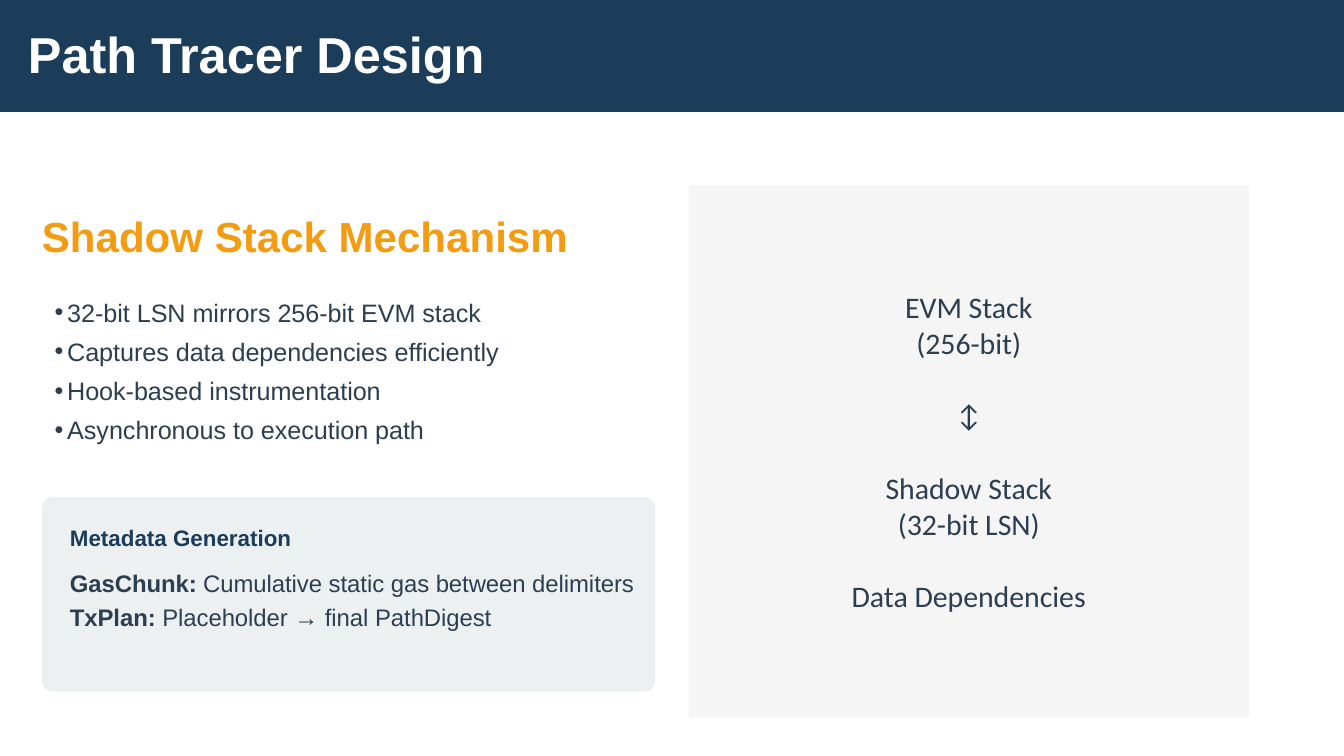
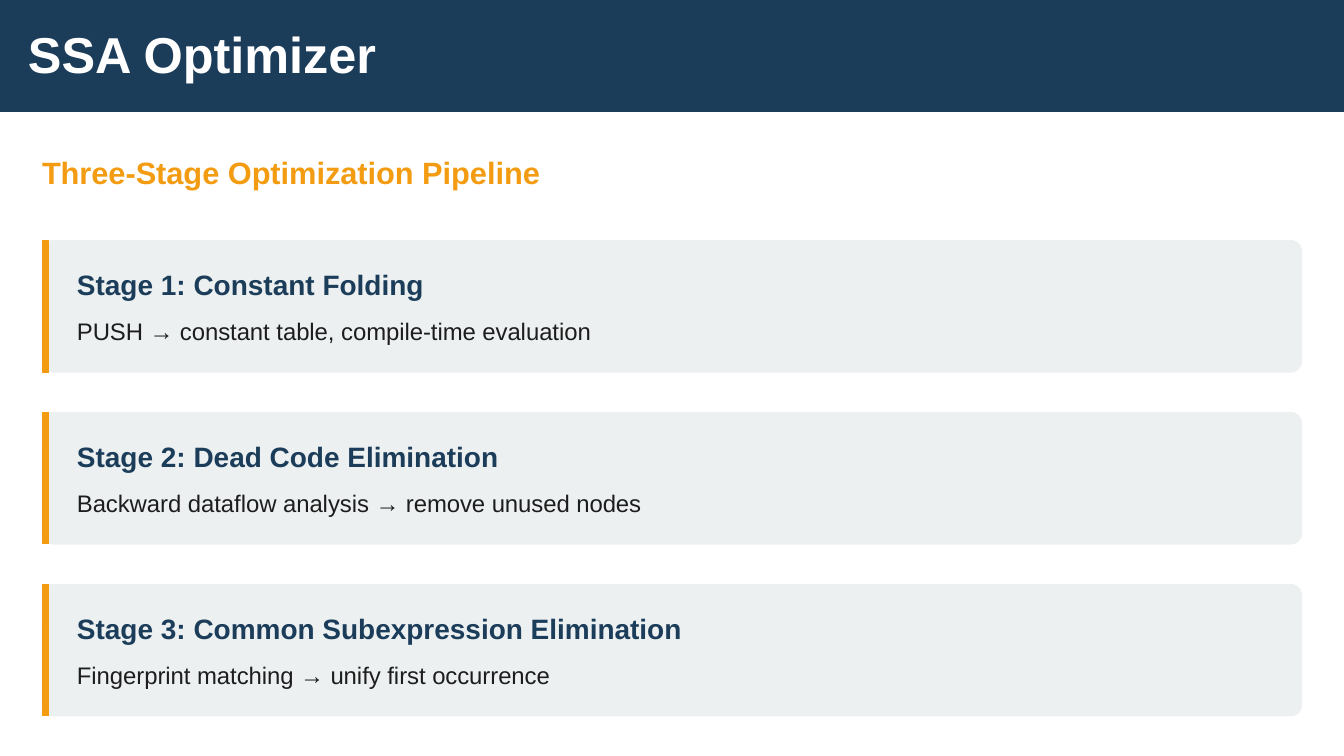
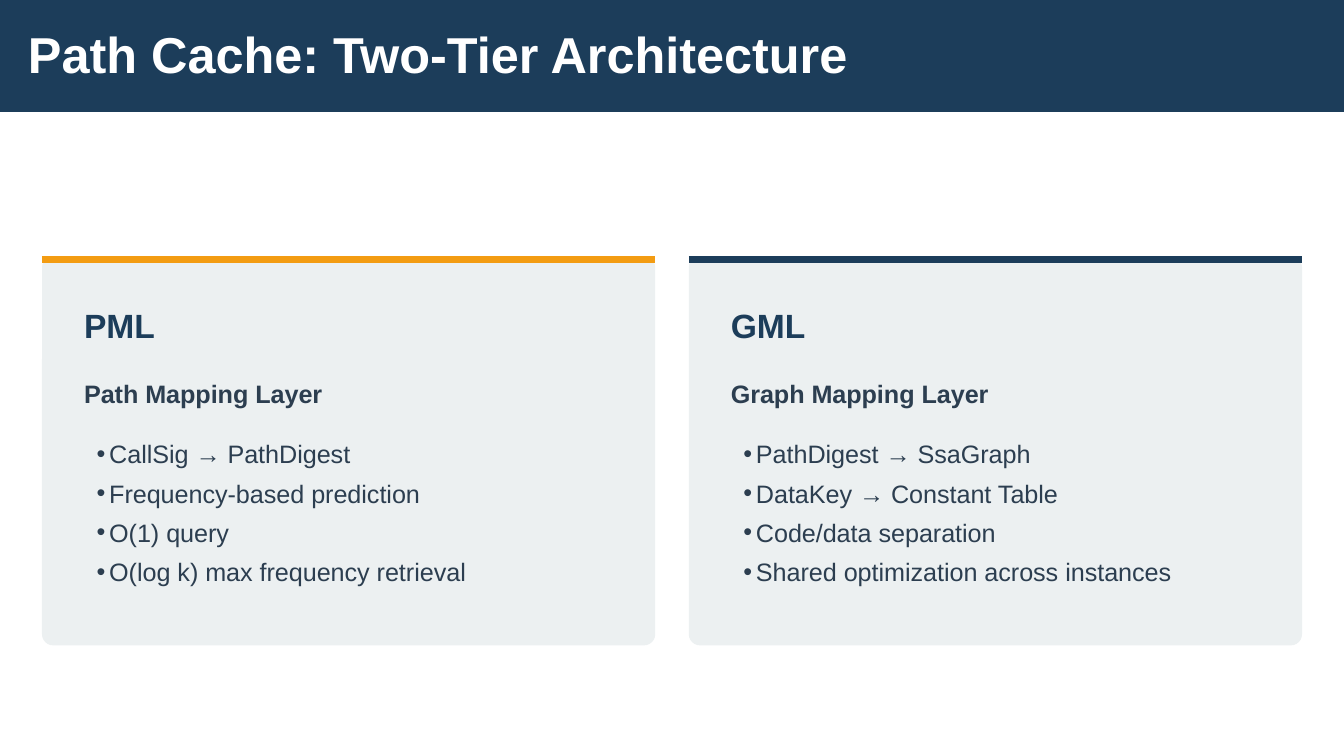
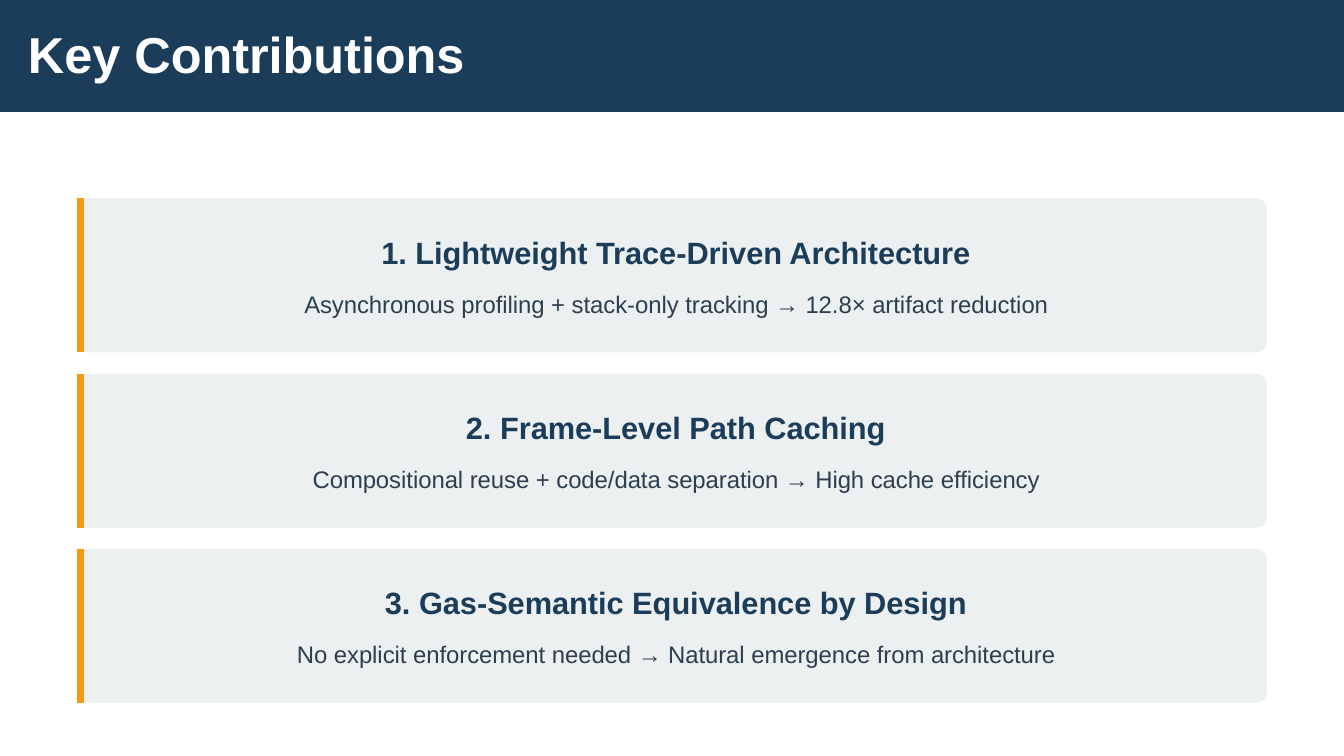
from collections import namedtuple

from lxml import etree
from pptx import Presentation
from pptx.dml.color import RGBColor
from pptx.enum import shapes as kinds, text as txt
from pptx.oxml.ns import qn
from pptx.util import Pt

NAVY = RGBColor(0x1C, 0x3D, 0x5A)
AMBER = RGBColor(0xF3, 0x9C, 0x12)
SLATE = RGBColor(0x2C, 0x3E, 0x50)
INK = RGBColor(0x1D, 0x1D, 0x1D)
MIST = RGBColor(0xEC, 0xF0, 0xF1)
PALE = RGBColor(0xF5, 0xF5, 0xF5)
WHITE = RGBColor(0xFF, 0xFF, 0xFF)

WIDE, HIGH = 720, 405
EDGE, HALF, RIGHT = 22.5, 328.5, 369
RADIUS, RAIL = 6, 3.75
NOTE, LEAD = 12.75, 17.85
HANG = 6.75
LEFT, MID = txt.PP_ALIGN.LEFT, txt.PP_ALIGN.CENTER

Box = namedtuple("Box", "x y w h")
Look = namedtuple("Look", "inset top drop width size lead color align")

STAGE = Look(18.75, 14.75, 38.5, 654, 15, None, INK, LEFT)
CLAIM = Look(16.5, 18.75, 46.25, 608.5, 16.5, 19.8, SLATE, MID)


def place(shape, box):
    """Move and size a shape."""
    shape.left, shape.top, shape.width, shape.height = map(Pt, box)


def style(par, size, color, bold=False, lead=None, align=LEFT, name="Arial"):
    """Format one whole paragraph."""
    font = par.font
    font.name, font.size, font.bold = name, Pt(size), bold
    font.color.rgb = color
    par.alignment = align
    par.space_before = Pt(0)
    if lead:
        par.line_spacing = Pt(lead)


def frame(shape, inset=0):
    """Clear the margins of a text frame and return it."""
    area = shape.text_frame
    area.word_wrap = True
    area.auto_size = txt.MSO_AUTO_SIZE.NONE
    area.vertical_anchor = txt.MSO_ANCHOR.TOP
    area.margin_left = Pt(inset)
    area.margin_top = area.margin_right = area.margin_bottom = 0
    return area


def label(slide, box, words, *args, **opts):
    """Add a one-paragraph text box and return its paragraph."""
    par = frame(slide.shapes.add_textbox(*map(Pt, box))).paragraphs[0]
    par.text = words
    style(par, *args, **opts)
    return par


def block(slide, box, color, kind=kinds.MSO_SHAPE.RECTANGLE):
    """Add a flat filled shape."""
    shape = slide.shapes.add_shape(kind, *map(Pt, box))
    shape.shadow.inherit = False
    shape.fill.solid()
    shape.fill.fore_color.rgb = color
    shape.line.fill.background()
    return shape


def card(slide, box):
    """Add a rounded card."""
    shape = block(slide, box, MIST, kinds.MSO_SHAPE.ROUNDED_RECTANGLE)
    shape.adjustments[0] = RADIUS / box.h


def rail(slide, x, y, w, h, color):
    """Add an accent line that spans w and h from a point."""
    line = slide.shapes.add_connector(
        kinds.MSO_CONNECTOR.STRAIGHT, Pt(x), Pt(y), Pt(x + w), Pt(y + h))
    line.line.color.rgb = color
    line.line.width = Pt(RAIL)
    etree.SubElement(line.element.spPr, qn("a:effectLst"))


def start(deck, layout, title, width=353):
    """Add a slide with its title on the navy band."""
    slide = deck.slides.add_slide(deck.slide_layouts.get_by_name(layout))
    block(slide, Box(0, 0, WIDE, 60), NAVY)
    head = slide.shapes.title
    slide.shapes.element.append(head.element)
    place(head, Box(15, 15, width, 30))
    area = frame(head)
    area.text = title
    style(area.paragraphs[0], 27, WHITE, True, 30)
    return slide


def bullets(slide, index, box, items):
    """Fill a body placeholder with a list, in front of the shapes so far."""
    body = slide.placeholders[index]
    slide.shapes.element.append(body.element)
    place(body, box)
    area = frame(body, HANG)
    area.text = "\n".join(items)
    for par in area.paragraphs:
        style(par, 13.5, SLATE, lead=21)
        props = par._p.get_or_add_pPr()
        props.set("marL", str(Pt(HANG)))
        props.set("indent", str(-Pt(HANG)))
        etree.SubElement(props, qn("a:buChar"), char="•")


def facts(slide, box, head, pairs):
    """Add a card with a heading and lines of term and meaning."""
    card(slide, box)
    x, w = box.x + 15, 304.5
    label(slide, Box(x, box.y + 14.5, w, 13.5), head, 12, NAVY, True)
    par = label(slide, Box(x, box.y + 36, w, 53.5), "", NOTE, SLATE, lead=LEAD)
    for i, (term, mean) in enumerate(pairs):
        if i:
            par.add_line_break()
        run = par.add_run()
        run.text, run.font.bold = term + ":", True
        par.add_run().text = " " + mean


def panel(slide, box, groups):
    """Add a grey panel with centred groups of lines."""
    area = block(slide, box, PALE).text_frame
    area.word_wrap = True
    area.vertical_anchor = txt.MSO_ANCHOR.MIDDLE
    area.text = "\n".join(line for group in groups for line in group)
    pars = iter(area.paragraphs)
    for i, group in enumerate(groups):
        for j, _ in enumerate(group):
            par = next(pars)
            style(par, 16, SLATE, align=MID, name="Calibri")
            if i and not j:
                par.space_before = Pt(19.5)


def rows(slide, box, pitch, look, items):
    """Stack cards with a left rail, a heading and a note; box is the first."""
    for i, (head, note) in enumerate(items):
        cell = box._replace(y=box.y + i * pitch)
        card(slide, cell)
        rail(slide, cell.x + RAIL / 2, cell.y, 0, cell.h, AMBER)
        x = cell.x + look.inset
        label(slide, Box(x, cell.y + look.top, look.width, look.size * 1.2),
              head, look.size, NAVY, True, look.lead, look.align)
        label(slide, Box(x, cell.y + look.drop, look.width, LEAD),
              note, NOTE, look.color, lead=LEAD, align=look.align)


def tier(slide, index, box, color, name, full, items):
    """Add a card with a top rail, a name, its full form and a list."""
    card(slide, box)
    rail(slide, box.x, box.y + RAIL / 2, box.w, 0, color)
    x, w = box.x + EDGE, 289.5
    label(slide, Box(x, box.y + 26.25, w, 21.6), name, 18, NAVY, True, 21.6)
    par = label(slide, Box(x, box.y + 63, w, 18.9), full, 13.5, SLATE, True, 18.9)
    par.space_before = Pt(3)
    bullets(slide, index, Box(x, box.y + 93, 283.75, 93), items)


def tracer(deck):
    """Build the path tracer slide."""
    slide = start(deck, "Title and Content", "Path Tracer Design")
    label(slide, Box(EDGE, 112.5, 334.5, 27), "Shadow Stack Mechanism",
          22.5, AMBER, True, 27)
    bullets(slide, 1, Box(EDGE, 154.25, HALF, 93), [
        "32-bit LSN mirrors 256-bit EVM stack",
        "Captures data dependencies efficiently",
        "Hook-based instrumentation",
        "Asynchronous to execution path"])
    facts(slide, Box(EDGE, 266.25, HALF, 104.25), "Metadata Generation", [
        ("GasChunk", "Cumulative static gas between delimiters"),
        ("TxPlan", "Placeholder → final PathDigest")])
    panel(slide, Box(RIGHT, 99.25, 300, 285), [
        ("EVM Stack", "(256-bit)"), ("↕",),
        ("Shadow Stack", "(32-bit LSN)"), ("Data Dependencies",)])


def stages(deck):
    """Build the optimizer slide."""
    slide = start(deck, "Title Only", "SSA Optimizer")
    label(slide, Box(EDGE, 82.25, 688.5, 19.8),
          "Three-Stage Optimization Pipeline", 16.5, AMBER, True, 19.8)
    rows(slide, Box(EDGE, 128.6, 675, 71), 92.1, STAGE, [
        ("Stage 1: Constant Folding",
         "PUSH → constant table, compile-time evaluation"),
        ("Stage 2: Dead Code Elimination",
         "Backward dataflow analysis → remove unused nodes"),
        ("Stage 3: Common Subexpression Elimination",
         "Fingerprint matching → unify first occurrence")])


def cache(deck):
    """Build the path cache slide."""
    slide = start(deck, "Two Content", "Path Cache: Two-Tier Architecture", 449)
    box = Box(EDGE, 137.25, HALF, 208.5)
    tier(slide, 1, box, AMBER, "PML", "Path Mapping Layer", [
        "CallSig → PathDigest",
        "Frequency-based prediction",
        "O(1) query",
        "O(log k) max frequency retrieval"])
    tier(slide, 2, box._replace(x=RIGHT), NAVY, "GML", "Graph Mapping Layer", [
        "PathDigest → SsaGraph",
        "DataKey → Constant Table",
        "Code/data separation",
        "Shared optimization across instances"])


def claims(deck):
    """Build the contributions slide."""
    slide = start(deck, "Title Only", "Key Contributions")
    rows(slide, Box(41.25, 106.25, 637.5, 82.6), 93.9, CLAIM, [
        ("1. Lightweight Trace-Driven Architecture",
         "Asynchronous profiling + stack-only tracking → 12.8× artifact reduction"),
        ("2. Frame-Level Path Caching",
         "Compositional reuse + code/data separation → High cache efficiency"),
        ("3. Gas-Semantic Equivalence by Design",
         "No explicit enforcement needed → Natural emergence from architecture")])


def main():
    """Build and save the deck."""
    deck = Presentation()
    deck.slide_width, deck.slide_height = Pt(WIDE), Pt(HIGH)
    for build in (tracer, stages, cache, claims):
        build(deck)
    deck.save("out.pptx")


if __name__ == "__main__":
    main()
